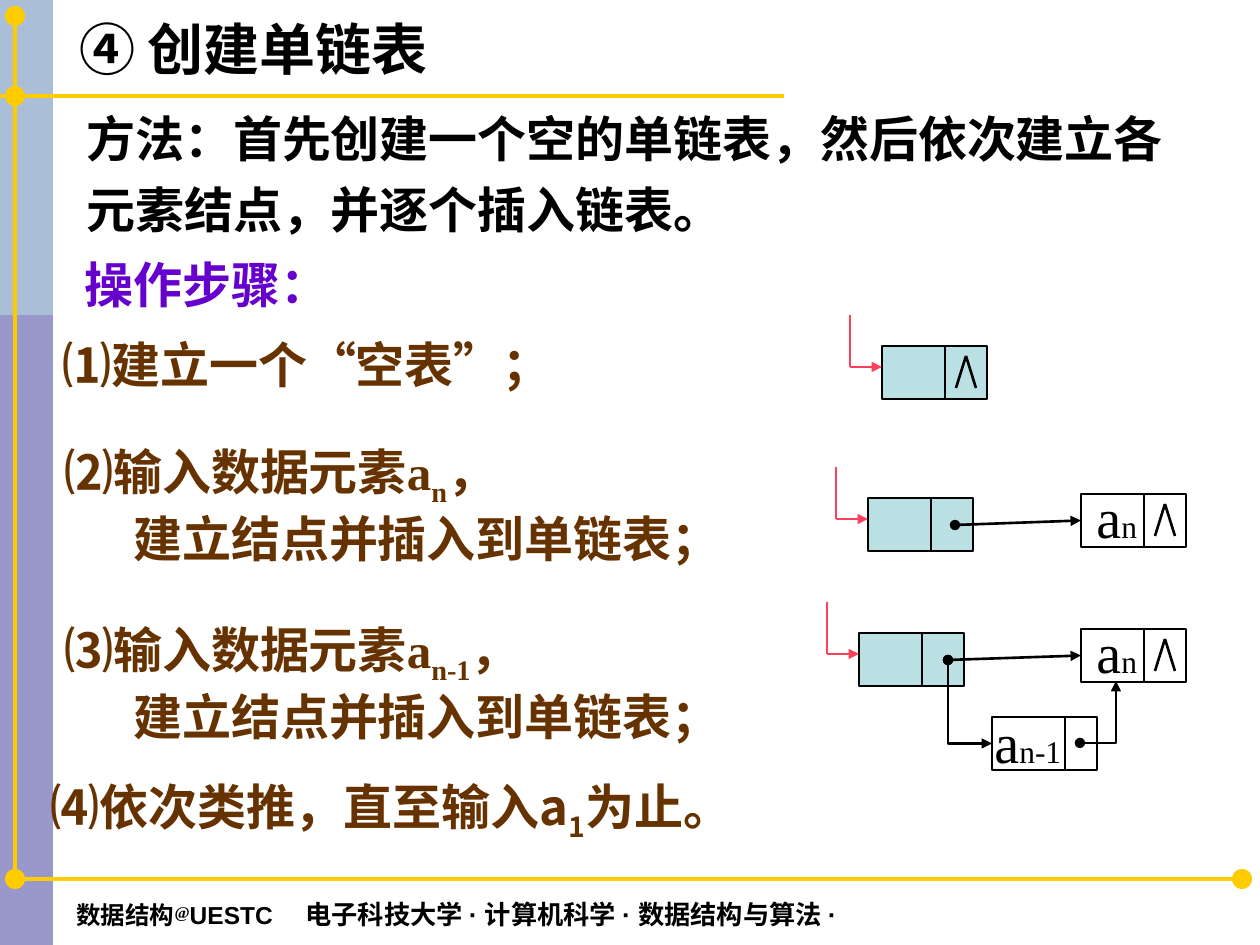
from dataclasses import dataclass
from typing import Optional

from lxml.etree import SubElement
from pptx import Presentation
from pptx.dml.color import RGBColor
from pptx.enum.shapes import MSO_CONNECTOR, MSO_SHAPE
from pptx.enum.text import MSO_ANCHOR, MSO_AUTO_SIZE, PP_ALIGN
from pptx.oxml.ns import qn
from pptx.util import Emu, Pt

BLACK = RGBColor(0x00, 0x00, 0x00)
GOLD = RGBColor(0xFF, 0xCC, 0x00)
INDIGO = RGBColor(0x33, 0x33, 0x99)
PALE_TEAL = RGBColor(0xBB, 0xE0, 0xE3)
RED = RGBColor(0xFB, 0x41, 0x5C)
PURPLE = RGBColor(0x66, 0x00, 0xCC)
BROWN = RGBColor(0x66, 0x33, 0x00)

ARIAL = "Arial"
TIMES = "Times New Roman"
NOTO = "Noto Sans CJK SC"

NODE_WIDTH, NODE_HEIGHT = 105, 53


def px(length: int) -> Emu:
    return Emu(round(length * 914400 / 126))


@dataclass
class Span:
    text: str
    font: str = NOTO
    size: int = 28
    baseline: int = 0
    bold: bool = True


@dataclass
class Line:
    spans: list[Span]
    indent: int = 0
    tab: int = 0
    spacing: Optional[float] = None


@dataclass
class TextBlock:
    left: int
    top: int
    width: int
    height: int
    color: RGBColor
    lines: list[Line]
    wrap: bool = True


@dataclass
class Node:
    left: int
    top: int
    divider: int = 63
    fill: Optional[RGBColor] = None


def fill_line(paragraph, line: Line, color: RGBColor) -> None:
    properties = paragraph._p.get_or_add_pPr()
    if line.indent:
        properties.set("marL", str(px(line.indent)))
    if line.tab:
        tabs = SubElement(properties, qn("a:tabLst"))
        SubElement(tabs, qn("a:tab"), pos=str(px(line.tab)), algn="l")
    if line.spacing:
        paragraph.line_spacing = line.spacing
    for span in line.spans:
        run = paragraph.add_run()
        run.text = span.text
        run.font.name = span.font
        run.font.size = Pt(span.size)
        run.font.bold = span.bold
        run.font.color.rgb = color
        run_properties = run._r.get_or_add_rPr()
        run_properties.set("lang", "zh-CN")
        if span.baseline:
            run_properties.set("baseline", str(span.baseline * 1000))
        SubElement(run_properties, qn("a:ea"), typeface=NOTO)


def add_text(slide, block: TextBlock):
    shape = slide.shapes.add_textbox(px(block.left), px(block.top), px(block.width), px(block.height))
    frame = shape.text_frame
    frame.word_wrap = block.wrap
    for index, line in enumerate(block.lines):
        paragraph = frame.add_paragraph() if index else frame.paragraphs[0]
        fill_line(paragraph, line, block.color)
    return shape


def add_title(slide, line: Line) -> None:
    title = slide.shapes.title
    title.left, title.top, title.width, title.height = px(54), px(0), px(843), px(96)
    frame = title.text_frame
    frame.auto_size = MSO_AUTO_SIZE.NONE
    frame.vertical_anchor = MSO_ANCHOR.MIDDLE
    frame.margin_left = px(25)
    frame.paragraphs[0].alignment = PP_ALIGN.LEFT
    fill_line(frame.paragraphs[0], line, BLACK)


def add_filled(slide, kind, left: int, top: int, width: int, height: int, color: RGBColor, opacity: int = 100) -> None:
    shape = slide.shapes.add_shape(kind, px(left), px(top), px(width), px(height))
    shape.shadow.inherit = False
    shape.fill.solid()
    shape.fill.fore_color.rgb = color
    shape.line.fill.background()
    if opacity < 100:
        color_element = shape._element.spPr.find(qn("a:solidFill"))[0]
        SubElement(color_element, qn("a:alpha"), val=str(opacity * 1000))


def add_line(slide, start: tuple[int, int], end: tuple[int, int], color: RGBColor = BLACK,
             weight: float = 1.5, head: str = "", tail: str = "", bent: bool = False):
    kind = MSO_CONNECTOR.ELBOW if bent else MSO_CONNECTOR.STRAIGHT
    connector = slide.shapes.add_connector(kind, *map(px, start + end))
    connector.line.color.rgb = color
    connector.line.width = Pt(weight)
    properties = connector._element.spPr
    if bent:
        properties.find(qn("a:prstGeom")).set("prst", "bentConnector2")
    outline = connector.line._get_or_add_ln()
    for tag, style in (("a:headEnd", head), ("a:tailEnd", tail)):
        if style:
            SubElement(outline, qn(tag), type=style)
    SubElement(properties, qn("a:effectLst"))
    return connector


def add_node(slide, node: Node):
    shape = slide.shapes.add_shape(MSO_SHAPE.RECTANGLE, px(node.left), px(node.top), px(NODE_WIDTH), px(NODE_HEIGHT))
    shape.shadow.inherit = False
    if node.fill is None:
        shape.fill.background()
    else:
        shape.fill.solid()
        shape.fill.fore_color.rgb = node.fill
    shape.line.color.rgb = BLACK
    shape.line.width = Pt(1.5)
    divider = node.left + node.divider
    add_line(slide, (divider, node.top), (divider, node.top + NODE_HEIGHT))
    return shape


def add_head_node(slide, left: int, top: int) -> None:
    add_node(slide, Node(left, top, fill=PALE_TEAL))
    corner = (left - 32, top + 21)
    add_line(slide, corner, (left, top + 21), RED, tail="triangle")
    add_line(slide, (left - 32, top - 31), corner, RED)


def add_null_sign(slide, left: int, top: int) -> None:
    apex = (left + 84, top + 10)
    for side in (-10, 10):
        add_line(slide, apex, (apex[0] + side, apex[1] + 32))


def add_label(slide, left: int, top: int, width: int, subscript: str) -> None:
    spans = [Span("a", TIMES, 32, bold=False), Span(subscript, TIMES, 18, bold=False)]
    add_text(slide, TextBlock(left, top, width, 81, BLACK, [Line(spans)], wrap=False))


def add_last_node(slide, left: int, top: int):
    shape = add_node(slide, Node(left, top))
    add_label(slide, left + 3, top - 18, 66, "n")
    add_null_sign(slide, left, top)
    return shape


def insert_step(left: int, top: int, number: str, subscript: str) -> TextBlock:
    first = Line([Span(number, ARIAL), Span("输入数据元素"), Span("a", TIMES),
                  Span(subscript, TIMES, baseline=-25), Span("，", TIMES)])
    second = Line([Span("建立结点并插入到单链表；", TIMES)], indent=69)
    return TextBlock(left, top, 766, 139, BROWN, [first, second])


def add_frame(slide) -> None:
    add_filled(slide, MSO_SHAPE.RECTANGLE, 0, 0, 53, 945, INDIGO, 50)
    add_filled(slide, MSO_SHAPE.RECTANGLE, 0, 0, 53, 315, PALE_TEAL, 53)
    for start, end in (((25, 879), (1245, 879)), ((0, 96), (784, 96)), ((15, 879), (15, 16))):
        add_line(slide, start, end, GOLD, 2)
    for x, y in ((15, 16), (15, 96), (15, 879), (1242, 879)):
        add_filled(slide, MSO_SHAPE.OVAL, x - 10, y - 10, 20, 20, GOLD)


def add_diagrams(slide) -> None:
    add_head_node(slide, 882, 346)
    add_null_sign(slide, 882, 346)
    for left, top, dot in ((868, 498, (955, 525)), (859, 633, (948, 660))):
        add_head_node(slide, left, top)
        last = add_last_node(slide, 1081, top - 4)
        link = add_line(slide, dot, (1081, top + 22), head="oval", tail="triangle")
        link.end_connect(last, 1)
    inserted = add_node(slide, Node(992, 717, divider=73))
    add_label(slide, 982, 701, 92, "n-1")
    add_line(slide, (1080, 743), (1116, 681), head="oval", tail="triangle", bent=True)
    link = add_line(slide, (992, 741), (948, 660), head="triangle", tail="oval", bent=True)
    link.begin_connect(inserted, 1)


FOOTER = [Span("数据结构", ARIAL, 14), Span("@", TIMES, 16, 20), Span("UESTC\t", ARIAL, 14),
          Span("电子科技大学 ", size=15), Span("· ", ARIAL, 15), Span("计算机科学 ", size=15),
          Span("· ", ARIAL, 15), Span("数据结构与算法 ", size=15), Span("·", ARIAL, 15)]

BLOCKS = [
    TextBlock(64, 890, 823, 37, BLACK, [Line(FOOTER, tab=229)]),
    TextBlock(74, 91, 1144, 154, BLACK, [
        Line([Span("方法：首先创建一个空的单链表，然后依次建立各元素结点，并逐个插入链表。")], spacing=1.2)]),
    TextBlock(72, 248, 290, 72, PURPLE, [Line([Span("操作步骤：", TIMES)])]),
    TextBlock(50, 328, 689, 72, BROWN, [Line([Span("⑴"), Span("建立一个“空表”；", TIMES)])]),
    insert_step(52, 435, "⑵", "n"),
    insert_step(52, 613, "⑶", "n-1"),
    TextBlock(38, 770, 731, 79, BROWN, [
        Line([Span("⑷", ARIAL), Span("依次类推，直至输入a"), Span("1", baseline=-25), Span("为止。")])]),
]


def main() -> None:
    presentation = Presentation()
    presentation.slide_width, presentation.slide_height = px(1260), px(945)
    slide = presentation.slides.add_slide(presentation.slide_layouts[5])
    add_frame(slide)
    add_title(slide, Line([Span("④ 创建单链表", ARIAL, 32)]))
    for block in BLOCKS:
        add_text(slide, block)
    add_diagrams(slide)
    presentation.save("out.pptx")


if __name__ == "__main__":
    main()
